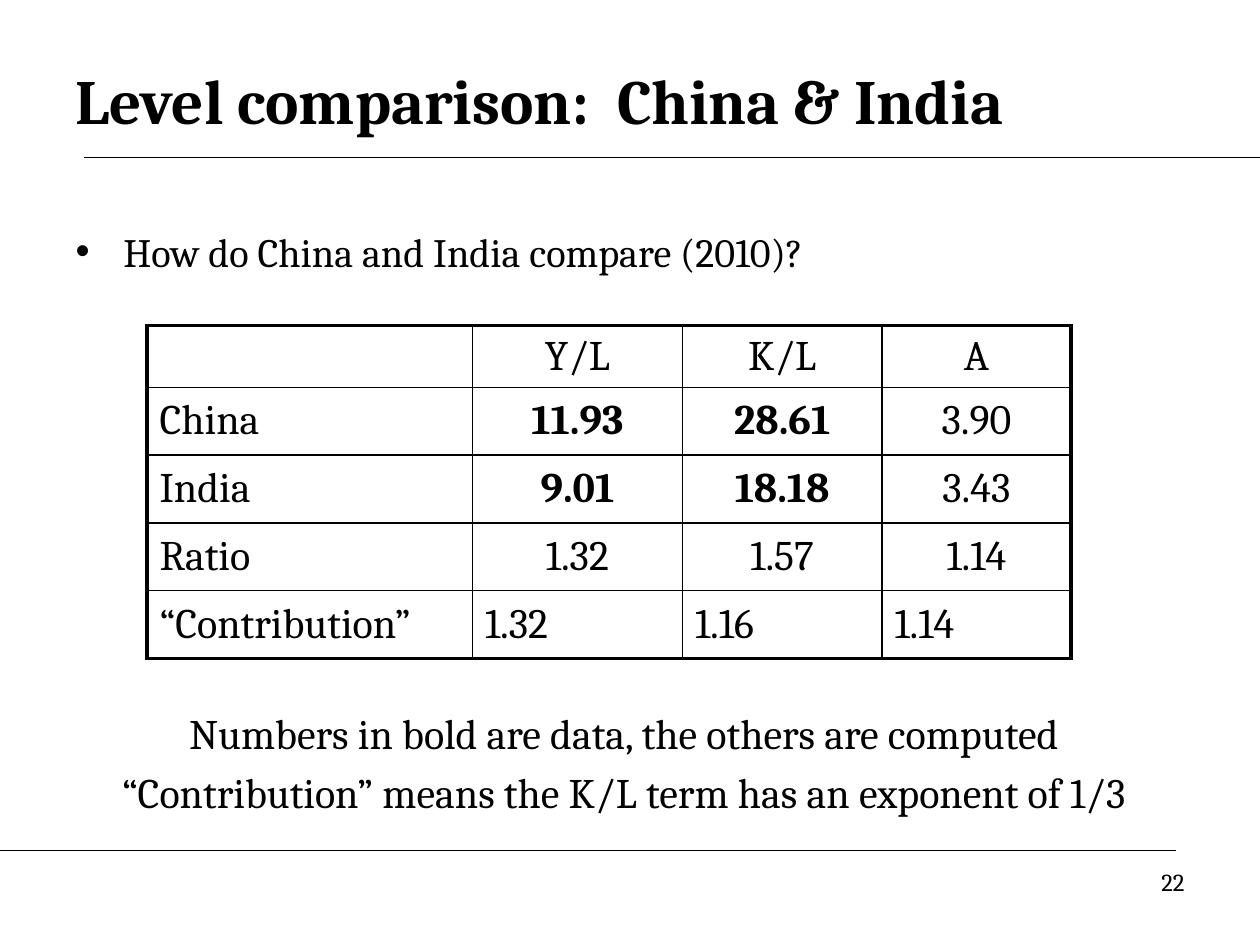
from lxml import etree
from pptx import Presentation
from pptx.dml.color import RGBColor
from pptx.enum.shapes import MSO_CONNECTOR
from pptx.enum.text import MSO_ANCHOR, MSO_AUTO_SIZE, PP_ALIGN
from pptx.oxml.ns import qn
from pptx.util import Inches, Pt

STRAIGHT = MSO_CONNECTOR.STRAIGHT
LEFT, CENTER, RIGHT = PP_ALIGN.LEFT, PP_ALIGN.CENTER, PP_ALIGN.RIGHT
TOP, MIDDLE = MSO_ANCHOR.TOP, MSO_ANCHOR.MIDDLE
NO_FIT = MSO_AUTO_SIZE.NONE

COLORS = {"ink": "000000"}
FONT = "Cambria"
COLS, ROWS = 120, 90
THIN, THICK = 1, 2.25

TABLE_COLS = [31, 20, 19, 18]
TABLE_ROWS = [5.9] + [6.45] * 4
TABLE_TEXT = [
    ["", "Y/L", "K/L", "A"],
    ["China", "11.93", "28.61", "3.90"],
    ["India", "9.01", "18.18", "3.43"],
    ["Ratio", "1.32", "1.57", "1.14"],
    ["“Contribution”", "1.32", "1.16", "1.14"],
]
DATA_CELLS = {(r, c) for r in (1, 2) for c in (1, 2)}


def grid(*units):
    return [Inches(u / 12) for u in units]


def style(p, size, bold=False, align=LEFT):
    p.alignment = align
    for r in p.runs:
        r.font.name = FONT
        r.font.size = Pt(size)
        r.font.bold = bold
        r.font.color.rgb = RGBColor.from_string(COLORS["ink"])


def set_text(sp, text, size, bold=False, align=LEFT, anchor=TOP):
    tf = sp.text_frame
    tf.word_wrap = True
    tf.auto_size = NO_FIT
    tf.vertical_anchor = anchor
    tf.text = text
    for i, p in enumerate(tf.paragraphs):
        p.space_before = Pt(0.2 * size if i else 0)
        style(p, size, bold, align)


def place(sp, *box):
    sp.left, sp.top, sp.width, sp.height = grid(*box)


def add_rule(s, x1, x2, y):
    line = s.shapes.add_connector(STRAIGHT, *grid(x1, y, x2, y))
    line.line.color.rgb = RGBColor.from_string(COLORS["ink"])
    line.line.width = Pt(0.75)
    etree.SubElement(line._element.spPr, qn("a:effectLst"))


def add_label(s, box, text, size, align):
    sp = s.shapes.add_textbox(*grid(*box))
    set_text(sp, text, size, align=align)


def add_bullet(p, indent):
    pPr = p._p.get_or_add_pPr()
    pPr.set("marL", str(indent))
    pPr.set("indent", str(-indent))
    etree.SubElement(pPr, qn("a:buFont"), typeface="Arial")
    etree.SubElement(pPr, qn("a:buChar"), char="•")


def set_borders(cell, widths):
    tcPr = cell._tc.get_or_add_tcPr()
    for side, width in widths.items():
        ln = etree.SubElement(tcPr, qn(f"a:ln{side}"), w=str(Pt(width)))
        fill = etree.SubElement(ln, qn("a:solidFill"))
        etree.SubElement(fill, qn("a:srgbClr"), val=COLORS["ink"])


def add_comparison_table(s, left, top):
    n_rows, n_cols = len(TABLE_ROWS), len(TABLE_COLS)
    box = grid(left, top, sum(TABLE_COLS), sum(TABLE_ROWS))
    table = s.shapes.add_table(n_rows, n_cols, *box).table
    table.first_row = table.horz_banding = False
    for column, width in zip(table.columns, grid(*TABLE_COLS)):
        column.width = width
    for row, height in zip(table.rows, grid(*TABLE_ROWS)):
        row.height = height
    for r, values in enumerate(TABLE_TEXT):
        for c, value in enumerate(values):
            cell = table.cell(r, c)
            outer = {"L": c == 0, "R": c == n_cols - 1,
                     "T": r == 0, "B": r == n_rows - 1}
            set_borders(cell, {k: THICK if edge else THIN for k, edge in outer.items()})
            cell.fill.background()
            cell.vertical_anchor = MIDDLE
            cell.text = value
            align = LEFT if outer["L"] or outer["B"] else CENTER
            style(cell.text_frame.paragraphs[0], 24, (r, c) in DATA_CELLS, align)


def main():
    prs = Presentation()
    prs.slide_width, prs.slide_height = grid(COLS, ROWS)
    s = prs.slides.add_slide(prs.slide_layouts[1])

    add_rule(s, 8, COLS, 15)
    add_rule(s, 0, COLS - 8, 81)

    title, body = s.shapes.title, s.placeholders[1]
    place(title, 6, 4, 108, 11)
    set_text(title, "Level comparison:  China & India", 36, True, anchor=MIDDLE)
    place(body, 6, 21, 108, 8)
    set_text(body, "How do China and India compare (2010)?", 23)
    add_bullet(body.text_frame.paragraphs[0], Inches(0.38))

    add_comparison_table(s, 14, 31)
    add_label(s, (86, 82, 28, 6.2), "22", 14, RIGHT)
    add_label(s, (4.9, 66.8, 109, 10.7),
              "Numbers in bold are data, the others are computed\n"
              "“Contribution” means the K/L term has an exponent of 1/3", 24, CENTER)
    prs.save("out.pptx")


if __name__ == "__main__":
    main()
